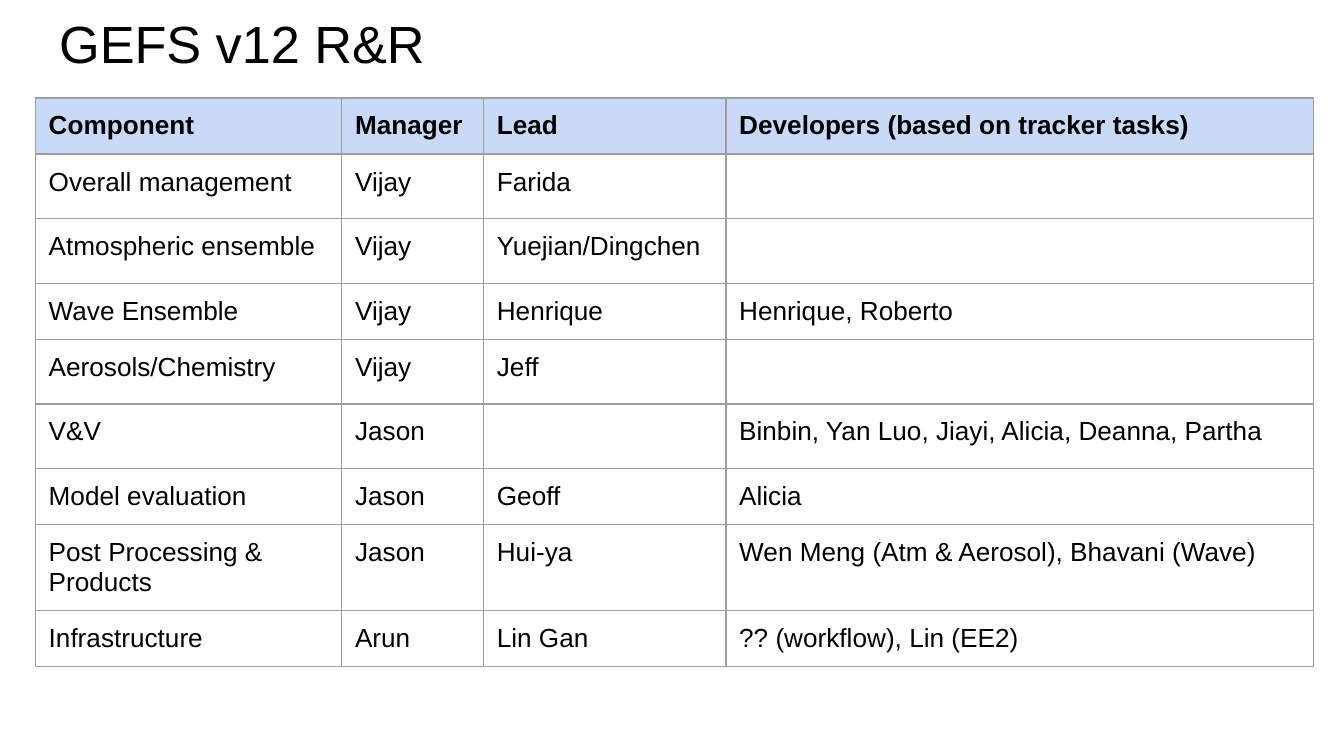
from lxml import etree
from pptx import Presentation
from pptx.dml.color import RGBColor
from pptx.enum.text import MSO_ANCHOR
from pptx.oxml.ns import qn
from pptx.util import Cm, Pt

TOP = MSO_ANCHOR.TOP
BLACK = RGBColor(0x00, 0x00, 0x00)
GREY = RGBColor(0x9E, 0x9E, 0x9E)
HEADER_BLUE = RGBColor(0xC9, 0xDA, 0xF8)

COL_WIDTHS = (5.79, 2.68, 4.58, 11.1)
ROW_HEIGHT, TALL_ROW, WRAPPED_ROW = 1.06, 1.22, 1.62
ROLES = [
    ("Component", "Manager", "Lead", "Developers (based on tracker tasks)"),
    ("Overall management", "Vijay", "Farida", ""),
    ("Atmospheric ensemble", "Vijay", "Yuejian/Dingchen", ""),
    ("Wave Ensemble", "Vijay", "Henrique", "Henrique, Roberto"),
    ("Aerosols/Chemistry", "Vijay", "Jeff", ""),
    ("V&V", "Jason", "", "Binbin, Yan Luo, Jiayi, Alicia, Deanna, Partha"),
    ("Model evaluation", "Jason", "Geoff", "Alicia"),
    ("Post Processing & Products", "Jason", "Hui-ya",
     "Wen Meng (Atm & Aerosol), Bhavani (Wave)"),
    ("Infrastructure", "Arun", "Lin Gan", "?? (workflow), Lin (EE2)"),
]


def row_height(row):
    """Rows with an empty cell are taller; a long component name wraps."""
    if "" in row:
        return TALL_ROW
    return WRAPPED_ROW if len(row[0]) > 20 else ROW_HEIGHT


class SlideBuilder:
    font_name = "Arial"
    inset = Cm(0.25)
    cell_bottom = Cm(0.18)

    def __init__(self, slide):
        self.s = slide

    def style(self, p, size, bold=False):
        p.line_spacing = 1.0
        p.font.name = self.font_name
        p.font.size = Pt(size)
        p.font.bold = bold
        p.font.color.rgb = BLACK

    def set_margins(self, frame, bottom):
        frame.margin_left = frame.margin_right = frame.margin_top = self.inset
        frame.margin_bottom = bottom

    def title(self, text, left, top, width, height):
        sp = self.s.shapes.add_textbox(Cm(left), Cm(top), Cm(width), Cm(height))
        tf = sp.text_frame
        tf.word_wrap = True
        tf.vertical_anchor = TOP
        self.set_margins(tf, self.inset)
        p = tf.paragraphs[0]
        p.text = text
        self.style(p, 28)

    def borders(self, cell):
        # Borders must come before the fill in the cell properties
        tc_pr = cell._tc.get_or_add_tcPr()
        for i, tag in enumerate(("a:lnL", "a:lnR", "a:lnT", "a:lnB")):
            ln = etree.Element(qn(tag), w=str(Pt(0.75)))
            fill = etree.SubElement(ln, qn("a:solidFill"))
            etree.SubElement(fill, qn("a:srgbClr"), val=str(GREY))
            tc_pr.insert(i, ln)

    def cell(self, cell, text, header):
        self.set_margins(cell, self.cell_bottom)
        cell.vertical_anchor = TOP
        p = cell.text_frame.paragraphs[0]
        p.text = text
        self.style(p, 14, header)
        if header:
            cell.fill.solid()
            cell.fill.fore_color.rgb = HEADER_BLUE
        else:
            cell.fill.background()
        self.borders(cell)

    def table(self, rows, left, top, widths):
        heights = [row_height(row) for row in rows]
        table = self.s.shapes.add_table(
            len(rows), len(widths), Cm(left), Cm(top),
            Cm(sum(widths)), Cm(sum(heights))).table
        table.horz_banding = False
        for col, width in zip(table.columns, widths):
            col.width = Cm(width)
        for r, (row, height) in enumerate(zip(rows, heights)):
            table.rows[r].height = Cm(height)
            for c, text in enumerate(row):
                self.cell(table.cell(r, c), text, header=r == 0)


def main():
    prs = Presentation()
    prs.slide_width, prs.slide_height = Cm(25.4), Cm(14.28)
    builder = SlideBuilder(prs.slides.add_slide(prs.slide_layouts[6]))

    # Title
    builder.title("GEFS v12 R&R", 0.87, -0.03, 23.67, 1.6)

    # Roles and responsibilities
    builder.table(ROLES, 0.67, 1.85, COL_WIDTHS)

    prs.save("out.pptx")


if __name__ == "__main__":
    main()
